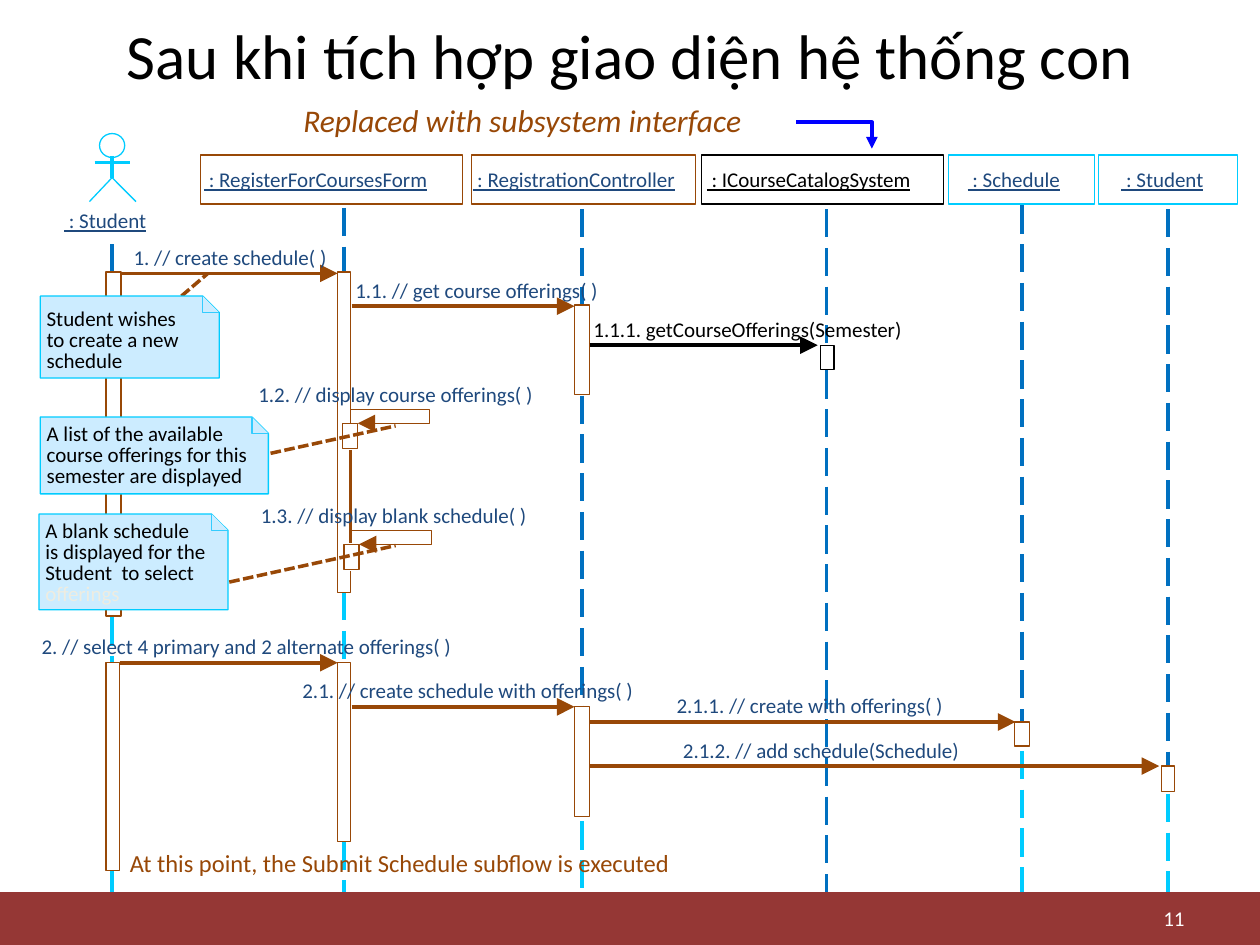
import pptx
import pptx.util
import pptx.dml.color
import pptx.enum.dml
import pptx.enum.shapes
import pptx.enum.text
import pptx.oxml.ns
import lxml.etree

BROWN, BLUE, CYAN, NAVY, BLACK = "984807", "0070C0", "00CCFF", "1F497D", "000000"
NOTE_FILL, FOLD_LINE, WHITE = "CCECFF", "33CCFF", "FFFFFF"
LONG_DASH = pptx.enum.dml.MSO_LINE.LONG_DASH
SHORT_DASH = pptx.enum.dml.MSO_LINE.SQUARE_DOT
SHAPE = pptx.enum.shapes.MSO_SHAPE
ALIGN = pptx.enum.text.PP_ALIGN
COLUMNS, ROWS = 100, 75
CELL = pptx.util.Inches(10) // COLUMNS

PARTICIPANTS = [
    (15.9, 20.8, 16.2, 17.9, " : RegisterForCoursesForm", BROWN, NAVY),
    (37.4, 17.8, 37.5, 16.2, " : RegistrationController", BROWN, NAVY),
    (55.7, 19.2, 56.1, 18.5, " : ICourseCatalogSystem", BLACK, BLACK),
    (75.3, 11.6, 76.8, 7.4, " : Schedule", CYAN, NAVY),
    (87.2, 11, 89, 6.6, " : Student", CYAN, NAVY),
]
LIFELINES = [
    (8.9, [(19.4, 21.6, BLUE), (49, 52.6, CYAN), (69.1, 70.8, CYAN)]),
    (27.3, [(16.5, 21.7, BLUE), (47, 52.6, CYAN), (66.8, 70.8, CYAN)]),
    (46.2, [(16.6, 24.2, BLUE), (31.4, 56.1, BLUE), (65.2, 70.8, CYAN)]),
    (65.6, [(16.6, 27.2, BLUE), (29.4, 70.8, BLUE)]),
    (81.1, [(16.3, 57.2, BLUE), (59.6, 70.8, CYAN)]),
    (92.7, [(16.6, 60.7, BLUE), (63, 70.8, CYAN)]),
]
ACTIVATIONS = [
    (8.4, 21.6, 1.2, 27.3, BROWN), (8.4, 52.6, 1.1, 16.5, BROWN),
    (26.8, 52.6, 1, 14.2, BROWN), (45.6, 24.2, 1.2, 7.1, BROWN),
    (45.6, 56.1, 1.2, 8.7, BROWN), (80.5, 57.3, 1.2, 1.9, BROWN),
    (92.2, 60.8, 1, 2, BROWN), (65.1, 27.4, 1.1, 1.9, BLACK),
]
MESSAGES = [
    (9.5, 26.8, 21.7, 10.6, 15.5, "1. // create schedule( )", BROWN, NAVY),
    (27.9, 45.6, 24.3, 28.2, 19.5, "1.1. // get course offerings( )", BROWN, NAVY),
    (46.8, 64.9, 27.4, 47.1, 27.3, "1.1.1. getCourseOfferings(Semester)", BLACK, BLACK),
    (9.5, 26.8, 52.6, 3.3, 32.9, "2. // select 4 primary and 2 alternate offerings( )", BROWN, NAVY),
    (27.9, 45.6, 56.1, 24, 26.6, "2.1. // create schedule with offerings( )", BROWN, NAVY),
    (46.8, 80.6, 57.3, 53.7, 21.4, "2.1.1. // create with offerings( )", BROWN, NAVY),
    (46.8, 92, 60.8, 54.2, 22.1, "2.1.2. // add schedule(Schedule)", BROWN, NAVY),
]
SELF_CALLS = [
    (27.8, 32.5, 27.2, 20.5, 22, "1.2. // display course offerings( )"),
    (27.9, 42.1, 27.3, 20.7, 21.3, "1.3. // display blank schedule( )"),
]
NOTES = [
    (3.2, 23.5, 14.2, 6.5, 24.6, (14.4, 23.5, 16.5, 21.7),
     ["Student wishes", "to create a new", "schedule"]),
    (3.2, 33.1, 18.1, 6.1, 33.7, (18.2, 36.7, 31.4, 33.8),
     ["A list of the available", "course offerings for this", "semester are displayed"]),
    (3.1, 40.8, 15, 7.6, 41.4, (18.2, 46.2, 31.4, 43.3),
     ["A blank schedule", "is displayed for the", "Student  to select", "offerings"]),
]


def grid(*cells):
    """Turn counts of grid cells into lengths."""
    return [pptx.util.Emu(round(count * CELL)) for count in cells]


def colour(code):
    """Turn a hex string into a colour."""
    return pptx.dml.color.RGBColor.from_string(code)


def style_line(shape, code, width=0, dash=None, head=None):
    """Style the stroke, with an arrowhead size if one is wanted, and drop the shadow."""
    shape.line.color.rgb = colour(code)
    shape.line.width = pptx.util.Pt(width)
    if dash:
        shape.line.dash_style = dash
    if head:
        stroke = shape.line._get_or_add_ln()
        lxml.etree.SubElement(stroke, pptx.oxml.ns.qn("a:tailEnd"), type="triangle", w=head, len=head)
    properties = shape._element.spPr
    if properties.find(pptx.oxml.ns.qn("a:effectLst")) is None:
        lxml.etree.SubElement(properties, pptx.oxml.ns.qn("a:effectLst"))


def add_box(page, place, line, kind=SHAPE.RECTANGLE):
    """Draw an unfilled preset shape."""
    box = page.shapes.add_shape(kind, *grid(*place))
    box.fill.background()
    style_line(box, line)
    return box


def add_line(page, ends, code, dash=None, head=None):
    """Draw a straight line from one grid point to another."""
    line = page.shapes.add_connector(pptx.enum.shapes.MSO_CONNECTOR.STRAIGHT, *grid(*ends))
    style_line(line, code, dash=dash, head=head)


def add_outline(page, points, code, fill=None, width=0, head=None):
    """Draw an open path through grid points."""
    corners = [grid(*point) for point in points]
    builder = page.shapes.build_freeform(*corners[0])
    builder.add_line_segments(corners[1:], close=False)
    outline = builder.convert_to_shape()
    if fill:
        outline.fill.solid()
        outline.fill.fore_color.rgb = colour(fill)
    else:
        outline.fill.background()
    style_line(outline, code, width, head=head)


def add_text(page, place, text, code, size=12, align=ALIGN.LEFT, margins=(0, 0),
             wrap=False, middle=False, underline=None, italic=None, spacing=None):
    """Write text in a box and return its paragraphs."""
    box = page.shapes.add_textbox(*grid(*place))
    frame = box.text_frame
    frame.word_wrap = wrap
    frame.margin_left = frame.margin_right = grid(margins[0])[0]
    frame.margin_top = frame.margin_bottom = grid(margins[1])[0]
    if middle:
        frame.vertical_anchor = pptx.enum.text.MSO_ANCHOR.MIDDLE
    frame.text = text
    for para in frame.paragraphs:
        para.alignment = align
        para.line_spacing = spacing
        for span in para.runs:
            span.font.name = "Calibri"
            span.font.size = pptx.util.Pt(size)
            span.font.color.rgb = colour(code)
            span.font.underline = underline
            span.font.italic = italic
    return frame.paragraphs


def add_actor(page):
    """Draw the stick figure and its name."""
    add_box(page, (7.9, 10.6, 2, 1.9), CYAN, SHAPE.OVAL)
    add_line(page, (8.9, 12.4, 8.9, 14.1), CYAN)
    add_line(page, (7.5, 12.9, 10.3, 12.9), CYAN)
    add_outline(page, [(7.1, 16), (8.9, 14.1), (10.8, 16)], CYAN)
    add_text(page, (5.1, 16.5, 6.6, 2), " : Student", NAVY, underline=True)


def add_form_activation(page):
    """Draw the long form activation, broken where self calls return."""
    add_outline(page, [(27.8, 33.6), (27.8, 21.6), (26.8, 21.6), (26.8, 47), (27.8, 47), (27.8, 45.3)], BROWN)
    add_line(page, (27.8, 35.7, 27.8, 43.1), BROWN)


def add_self_call(page, left, top, bar, label_left, label_width, label):
    """Draw a message that loops back to its own lifeline."""
    right, bottom = left + 6.3, top + 1.1
    add_outline(page, [(left, top), (right, top), (right, bottom), (left + 0.6, bottom)], BROWN, width=0.25, head="lg")
    add_box(page, (bar, bottom, 1.2, 2), BROWN)
    add_text(page, (label_left, top - 2.2, label_width, 2), label, NAVY)


def add_note(page, left, top, width, height, text_top, anchor, lines):
    """Draw a folded note with its text and anchor line."""
    fold, right, bottom = 1.3, left + width, top + height
    add_line(page, anchor, BROWN, SHORT_DASH)
    add_outline(page, [(left, top), (right - fold, top), (right, top + fold), (right, bottom),
                       (left, bottom), (left, top)], CYAN, NOTE_FILL)
    add_outline(page, [(right - fold, top), (right - fold, top + fold), (right, top + fold)], FOLD_LINE, NOTE_FILL)
    place = (left + 0.5, text_top, width - 1, 1.65 * len(lines))
    return add_text(page, place, "\n".join(lines), BLACK, spacing=pptx.util.Pt(12))


def main():
    """Build the sequence diagram slide."""
    deck = pptx.Presentation()
    deck.slide_width, deck.slide_height = grid(COLUMNS, ROWS)
    page = deck.slides.add_slide(deck.slide_layouts[6])
    footer = add_box(page, (0, 70.8, COLUMNS, 4.2), "953735")
    footer.fill.solid()
    footer.fill.fore_color.rgb = colour("953735")
    footer.line.fill.background()
    add_text(page, (5, 0.8, 90, 7), "Sau khi tích hợp giao diện hệ thống con", BLACK, 36,
             ALIGN.CENTER, (1, 0.5), True, True)
    add_text(page, (71.7, 71.5, 23.3, 2.7), "11", WHITE, 12, ALIGN.RIGHT, (1, 0.5), True, True)
    for column, segments in LIFELINES:
        for top, bottom, code in segments:
            add_line(page, (column, top, column, bottom), code, LONG_DASH)
    for left, width, name_left, name_width, name, line, ink in PARTICIPANTS:
        add_box(page, (left, 12.3, width, 3.9), line)
        add_text(page, (name_left, 13.2, name_width, 2), name, ink, underline=True)
    for left, top, width, height, line in ACTIVATIONS:
        add_box(page, (left, top, width, height), line)
    add_form_activation(page)
    for start, end, row, label_left, label_width, label, line, ink in MESSAGES:
        add_line(page, (start, row, end, row), line, head="lg")
        add_text(page, (label_left, row - 2.3, label_width, 2), label, ink)
    for call in SELF_CALLS:
        add_self_call(page, *call)
    for note in NOTES:
        paragraphs = add_note(page, *note)
    paragraphs[-1].runs[0].font.color.rgb = colour("EEECE1")
    add_actor(page)
    add_text(page, (9.1, 66.7, 55.8, 3.5), "At this point, the Submit Schedule subflow is executed",
             BROWN, 14, margins=(1.2, 0.6), wrap=True)
    add_outline(page, [(63.2, 9.7), (69.2, 9.7), (69.2, 11.8)], "0000FF", width=2.25, head="med")
    add_text(page, (23.1, 7.5, 45, 4), "Replaced with subsystem interface", BROWN, 18,
             margins=(1, 0.5), wrap=True, italic=True)
    deck.save("out.pptx")


if __name__ == "__main__":
    main()
